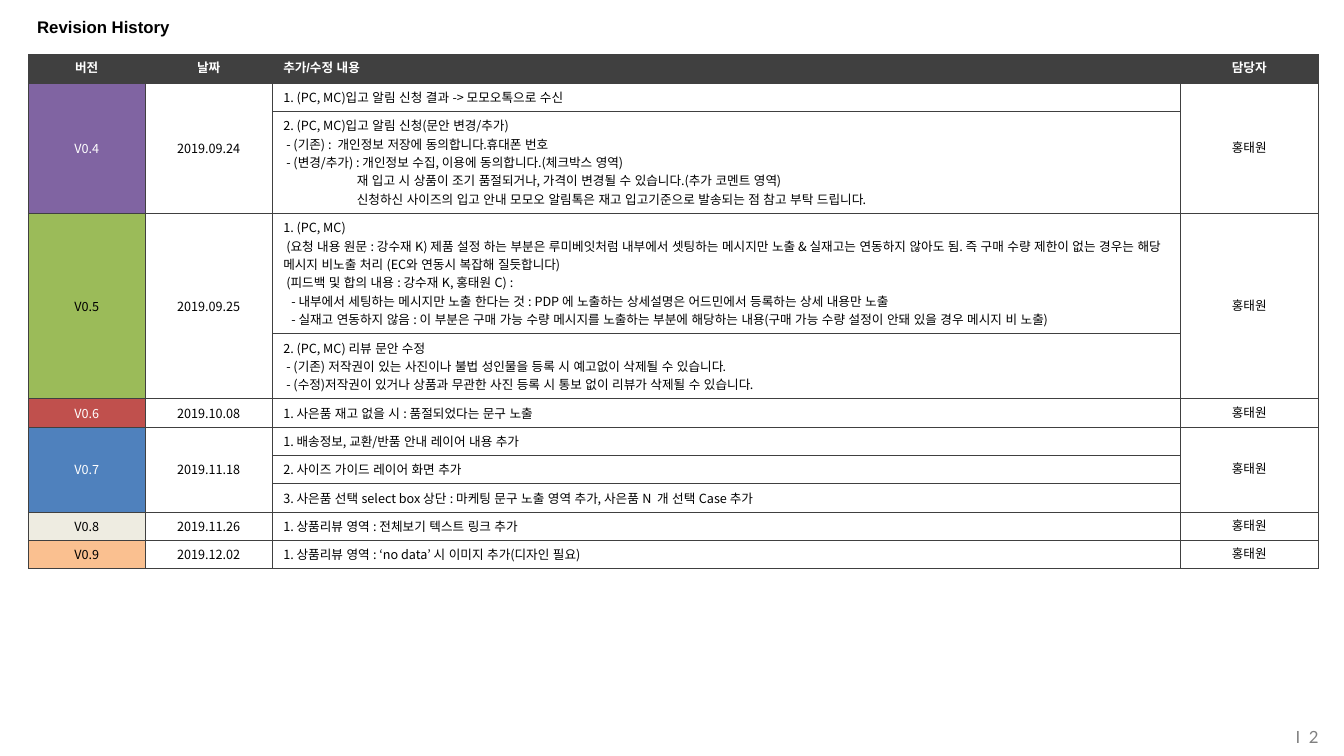
"""Build the revision history slide with its version table."""
from math import ceil

from pptx import Presentation
from pptx.dml.color import RGBColor
from pptx.enum.text import MSO_ANCHOR, PP_ALIGN
from pptx.oxml import parse_xml
from pptx.oxml.ns import nsdecls
from pptx.util import Inches, Pt

BLACK = RGBColor(0x00, 0x00, 0x00)
WHITE = RGBColor(0xFF, 0xFF, 0xFF)
CHARCOAL = RGBColor(0x40, 0x40, 0x40)
GRAY = RGBColor(0x80, 0x80, 0x80)
PURPLE = RGBColor(0x80, 0x64, 0xA2)
GREEN = RGBColor(0x9B, 0xBB, 0x59)
RED = RGBColor(0xC0, 0x50, 0x4D)
BLUE = RGBColor(0x4F, 0x81, 0xBD)
IVORY = RGBColor(0xEE, 0xEC, 0xE1)
PEACH = RGBColor(0xFA, 0xC0, 0x90)

BODY_FONT = "Noto Sans CJK KR"
EAST_ASIAN_FONT = "Arial"
COLUMN_WIDTHS = [1.16, 1.26, 9.01, 1.36]
ROW_HEIGHT = Pt(20.25)
LINE_HEIGHT = Pt(13.15)
LINE_CAPACITY = 100
HEADINGS = ["버전", "날짜", "추가/수정 내용", "담당자"]
OWNER = "홍태원"
CENTERED, LEFT = PP_ALIGN.CENTER, PP_ALIGN.LEFT
DASH, DETAIL, CONTINUED = 0.03, 0.08, 0.73

REVISIONS = [
    ("V0.4", "2019.09.24", PURPLE, WHITE, [
        [(0, "1. (PC, MC)입고 알림 신청 결과 -> 모모오톡으로 수신")],
        [(0, "2. (PC, MC)입고 알림 신청(문안 변경/추가)"),
         (DASH, "- (기존) : | 개인정보 저장에 동의합니다.휴대폰 번호"),
         (DASH, "- (변경/추가) : 개인정보 수집, 이용에 동의합니다.(체크박스 영역)"),
         (CONTINUED, "재 입고 시 상품이 조기 품절되거나, 가격이 변경될 수 있습니다.(추가 코멘트 영역)"),
         (CONTINUED, "신청하신 사이즈의 입고 안내 모모오 알림톡은 재고 입고기준으로 발송되는 점 참고 부탁 드립니다.")],
    ]),
    ("V0.5", "2019.09.25", GREEN, BLACK, [
        [(0, "1. (PC, MC)"),
         (DASH, "(요청 내용 원문 : 강수재 K) 제품 설정 하는 부분은 루미베잇처럼 내부에서 셋팅하는 메시지만 노출 & "
                "실재고는 연동하지 않아도 됨. 즉 구매 수량 제한이 없는 경우는 해당 메시지 비노출 처리 "
                "(EC와 연동시 복잡해 질듯합니다)"),
         (DASH, "(피드백 및 합의 내용 : 강수재 K, 홍태원 C) :"),
         (DETAIL, "- 내부에서 세팅하는 메시지만 노출 한다는 것 : PDP 에 노출하는 상세설명은 어드민에서 등록하는 상세 내용만 노출"),
         (DETAIL, "- 실재고 연동하지 않음 : 이 부분은 구매 가능 수량 메시지를 노출하는 부분에 해당하는 내용"
                  "(구매 가능 수량 설정이 안돼 있을 경우 메시지 비 노출)")],
        [(0, "2. (PC, MC) 리뷰 문안 수정"),
         (DASH, "- (기존)| 저작권이 있는 사진이나 불법 성인물을 등록 시 예고없이 삭제될 수 있습니다."),
         (DASH, "- (수정)저작권이 있거나 상품과 무관한 사진 등록 시 통보 없이 리뷰가 삭제될 수 있습니다.")],
    ]),
    ("V0.6", "2019.10.08", RED, WHITE, [
        [(0, "1. 사은품 재고 없을 시 : 품절되었다는 문구 노출")],
    ]),
    ("V0.7", "2019.11.18", BLUE, WHITE, [
        [(0, "1. 배송정보, 교환/반품 안내 레이어 내용 추가")],
        [(0, "2. 사이즈 가이드 레이어 화면 추가")],
        [(0, "3. 사은품 선택 select box 상단 : 마케팅 문구 노출 영역 추가, 사은품 N  개 선택 Case 추가")],
    ]),
    ("V0.8", "2019.11.26", IVORY, BLACK, [
        [(0, "1. 상품리뷰 영역 : 전체보기 텍스트 링크 추가")],
    ]),
    ("V0.9", "2019.12.02", PEACH, BLACK, [
        [(0, "1. 상품리뷰 영역 : ‘no data’ 시 이미지 추가(디자인 필요)")],
    ]),
]


def write_cell(cell, lines, align, color=BLACK, font=BODY_FONT, bold=False):
    """Fill a cell with (first-line indent, text) lines; a bar starts a Lato run."""
    cell.vertical_anchor = MSO_ANCHOR.MIDDLE
    cell.margin_left = cell.margin_right = Inches(0.11)
    cell.margin_top = cell.margin_bottom = Inches(0.05)
    frame = cell.text_frame
    for position, (indent, text) in enumerate(lines):
        paragraph = frame.add_paragraph() if position else frame.paragraphs[0]
        paragraph.alignment = align
        if indent:
            properties = paragraph._p.get_or_add_pPr()
            properties.set("marL", "0")
            properties.set("indent", str(Inches(indent)))
        for part, face in zip(text.split("|"), (font, "Lato")):
            run = paragraph.add_run()
            run.text = part
            run.font.size = Pt(9)
            run.font.bold = bold
            run.font.color.rgb = color
            run.font.name = face
            run._r.get_or_add_rPr().append(
                parse_xml(f'<a:ea {nsdecls("a")} typeface="{EAST_ASIAN_FONT}"/>'))


def add_label(box, text, size, font, color, bold, align):
    """Write one formatted line, vertically centred, in a text box."""
    frame = box.text_frame
    frame.word_wrap = True
    frame.vertical_anchor = MSO_ANCHOR.MIDDLE
    frame.text = text
    paragraph = frame.paragraphs[0]
    paragraph.alignment = align
    face = paragraph.runs[0].font
    face.size, face.name, face.bold = Pt(size), font, bold
    face.color.rgb = color
    return frame


presentation = Presentation()
presentation.slide_width = Inches(13.33)
presentation.slide_height = Inches(7.5)
slide = presentation.slides.add_slide(presentation.slide_layouts[6])

page_number = slide.shapes.add_textbox(Inches(11.15), Inches(7.11), Inches(1.93), Inches(0.39))
page_frame = add_label(page_number, "I  2", 12, "Lato", GRAY, False, PP_ALIGN.RIGHT)
page_frame.margin_left = page_frame.margin_right = 0
page_frame.margin_top = page_frame.margin_bottom = 0

row_count = 1 + sum(len(revision[-1]) for revision in REVISIONS)
history = slide.shapes.add_table(
    row_count, len(COLUMN_WIDTHS), Inches(0.28), Inches(0.54),
    Inches(sum(COLUMN_WIDTHS)), ROW_HEIGHT * row_count).table
history.horz_banding = False
for column, width in zip(history.columns, COLUMN_WIDTHS):
    column.width = Inches(width)

for cell in history.iter_cells():
    cell.fill.solid()
    cell.fill.fore_color.rgb = WHITE
    cell_properties = cell._tc.get_or_add_tcPr()
    for place, side in enumerate(("lnL", "lnR", "lnT", "lnB")):
        cell_properties.insert(place, parse_xml(
            f'<a:{side} {nsdecls("a")} w="{Pt(0.25)}"><a:solidFill>'
            f'<a:srgbClr val="{CHARCOAL}"/></a:solidFill></a:{side}>'))

for column, heading in enumerate(HEADINGS):
    heading_cell = history.cell(0, column)
    heading_cell.fill.fore_color.rgb = CHARCOAL
    write_cell(heading_cell, [(0, heading)], LEFT if column == 2 else CENTERED,
               WHITE, "Arial", True)

first_row = 1
for version, date, fill, text_color, changes in REVISIONS:
    last_row = first_row + len(changes) - 1
    for column, text, color in ((0, version, text_color), (1, date, BLACK), (3, OWNER, BLACK)):
        if last_row > first_row:
            history.cell(first_row, column).merge(history.cell(last_row, column))
        write_cell(history.cell(first_row, column), [(0, text)], CENTERED, color)
    for row, lines in enumerate(changes, first_row):
        history.cell(row, 0).fill.fore_color.rgb = fill
        write_cell(history.cell(row, 2), lines, LEFT)
        line_count = sum(ceil(len(text) / LINE_CAPACITY) for _, text in lines)
        history.rows[row].height = ROW_HEIGHT + LINE_HEIGHT * (line_count - 1)
    first_row = last_row + 1
history.rows[0].height = ROW_HEIGHT

title = slide.shapes.add_textbox(Inches(0.27), Inches(0.08), Inches(12.79), Inches(0.38))
add_label(title, "Revision History", 12, "Arial", BLACK, True, LEFT)

presentation.save("out.pptx")
